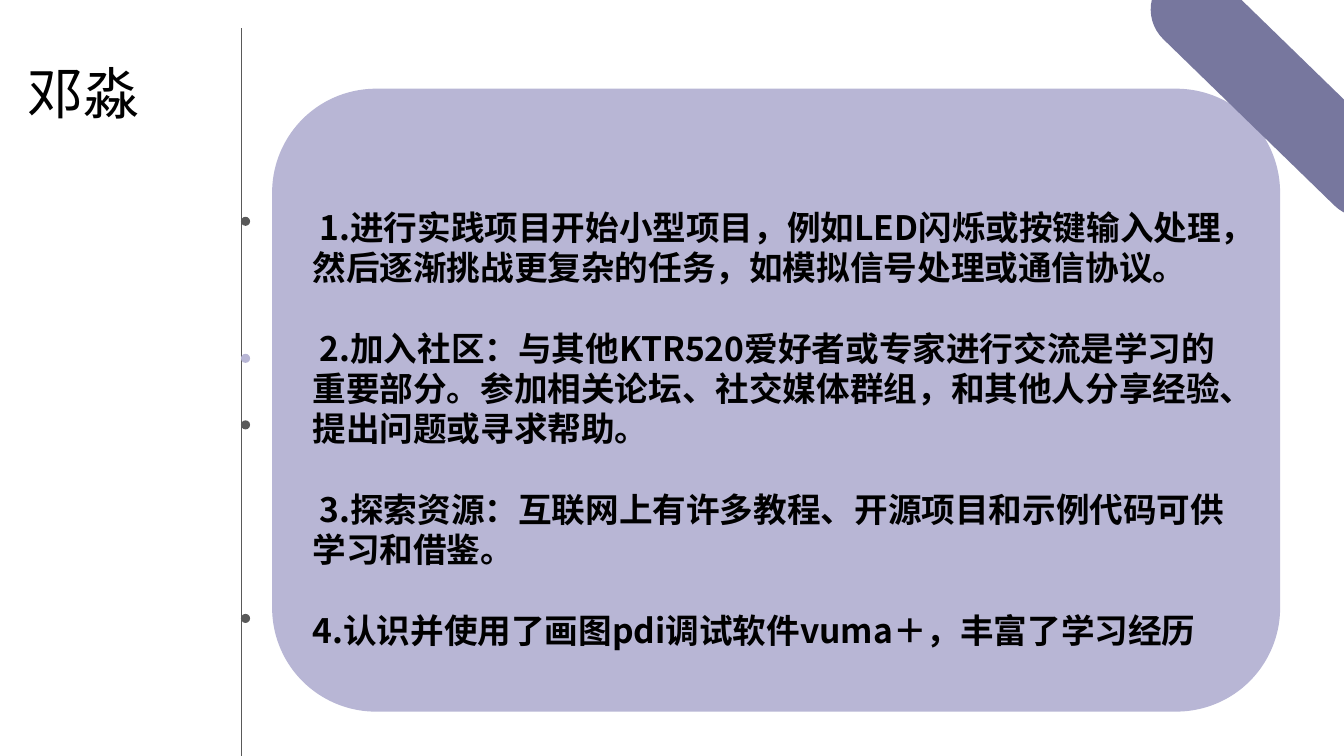
import pptx
import pptx.dml.color
import pptx.enum.shapes
import pptx.enum.text
import pptx.oxml.ns
import pptx.util
from lxml import etree

SHAPES = pptx.enum.shapes.MSO_SHAPE


def color(hex_string):
    return pptx.dml.color.RGBColor.from_string(hex_string)


class SlideBuilder:
    """Draws on one slide; lengths are percentages of its width and height."""

    font = "Noto Sans CJK SC"
    ink = "000000"
    lavender = "B8B6D5"
    violet = "77779E"
    gray = "595959"
    line_height = 1.2

    def __init__(self, presentation):
        self.width = presentation.slide_width
        self.height = presentation.slide_height
        self.slide = presentation.slides.add_slide(presentation.slide_layouts[6])

    def x(self, share):
        return round(self.width * share / 100)

    def y(self, share):
        return round(self.height * share / 100)

    def frame(self, left, top, width, height):
        return self.x(left), self.y(top), self.x(width), self.y(height)

    def shape(self, kind, frame, fill, rotation=0):
        shape = self.slide.shapes.add_shape(kind, *self.frame(*frame))
        shape.shadow.inherit = False
        shape.fill.solid()
        shape.fill.fore_color.rgb = color(fill)
        shape.line.fill.background()
        shape.rotation = rotation
        return shape

    def vertical_line(self, left, top, bottom):
        x = self.x(left)
        line = self.slide.shapes.add_connector(
            pptx.enum.shapes.MSO_CONNECTOR.STRAIGHT, x, self.y(top), x, self.y(bottom))
        line.line.color.rgb = color(self.gray)
        line.line.width = pptx.util.Pt(0.5)
        properties = line._element.spPr
        etree.SubElement(properties, pptx.oxml.ns.qn("a:effectLst"))

    def text_box(self, frame):
        return self.slide.shapes.add_textbox(*self.frame(*frame))

    def set_text(self, shape, paragraphs, size, top_inset, bold=False):
        """Fill a shape with (text, first-line indent in inches) paragraphs."""
        text_frame = shape.text_frame
        text_frame.word_wrap = True
        text_frame.margin_top = pptx.util.Inches(top_inset)
        text_frame.text = "\n".join(text for text, _ in paragraphs)
        spacing = pptx.util.Pt(size * self.line_height)
        for index, paragraph in enumerate(text_frame.paragraphs):
            paragraph.alignment = pptx.enum.text.PP_ALIGN.LEFT
            paragraph.line_spacing = spacing
            if index:
                paragraph.space_before = spacing
            indent = pptx.util.Inches(paragraphs[index][1])
            paragraph._p.get_or_add_pPr().set("indent", str(indent))
            for run in paragraph.runs:
                run.font.name = self.font
                run.font.size = pptx.util.Pt(size)
                run.font.bold = bold
                run.font.color.rgb = color(self.ink)
                east_asian = etree.SubElement(
                    run.font._element, pptx.oxml.ns.qn("a:ea"))
                east_asian.set("typeface", self.font)


def main():
    presentation = pptx.Presentation()
    presentation.slide_width = pptx.util.Inches(13.33)
    presentation.slide_height = pptx.util.Inches(7.5)
    builder = SlideBuilder(presentation)

    card = builder.shape(
        SHAPES.ROUNDED_RECTANGLE, (20.25, 11.73, 75, 82.4), builder.lavender)
    card.text_frame.vertical_anchor = pptx.enum.text.MSO_ANCHOR.MIDDLE
    builder.set_text(card, [
        ("1.进行实践项目开始小型项目，例如LED闪烁或按键输入处理，"
         "然后逐渐挑战更复杂的任务，如模拟信号处理或通信协议。", 0.07),
        ("2.加入社区：与其他KTR520爱好者或专家进行交流是学习的重要部分。"
         "参加相关论坛、社交媒体群组，和其他人分享经验、提出问题或寻求帮助。", 0.07),
        ("3.探索资源：互联网上有许多教程、开源项目和示例代码可供学习和借鉴。", 0.07),
        ("4.认识并使用了画图pdi调试软件vuma＋，丰富了学习经历", 0),
    ], size=24, top_inset=0.61, bold=True)

    timeline = 17.93
    builder.vertical_line(timeline, 3.73, 100)
    for top, fill in ((46.8, builder.lavender), (28.67, builder.gray),
                      (55.6, builder.gray), (81.2, builder.gray)):
        builder.shape(SHAPES.OVAL, (timeline, top, 0.68, 1.2), fill)

    corner_bar = builder.shape(
        SHAPES.ROUNDED_RECTANGLE, (83.1, 6.8, 23.93, 10.93), builder.violet, 44.2)
    corner_bar.adjustments[0] = 0.5

    title = builder.text_box((1.28, 6.4, 33.3, 10.27))
    builder.set_text(title, [("邓淼", 0)], size=40, top_inset=0.1)

    presentation.save("out.pptx")


if __name__ == "__main__":
    main()
